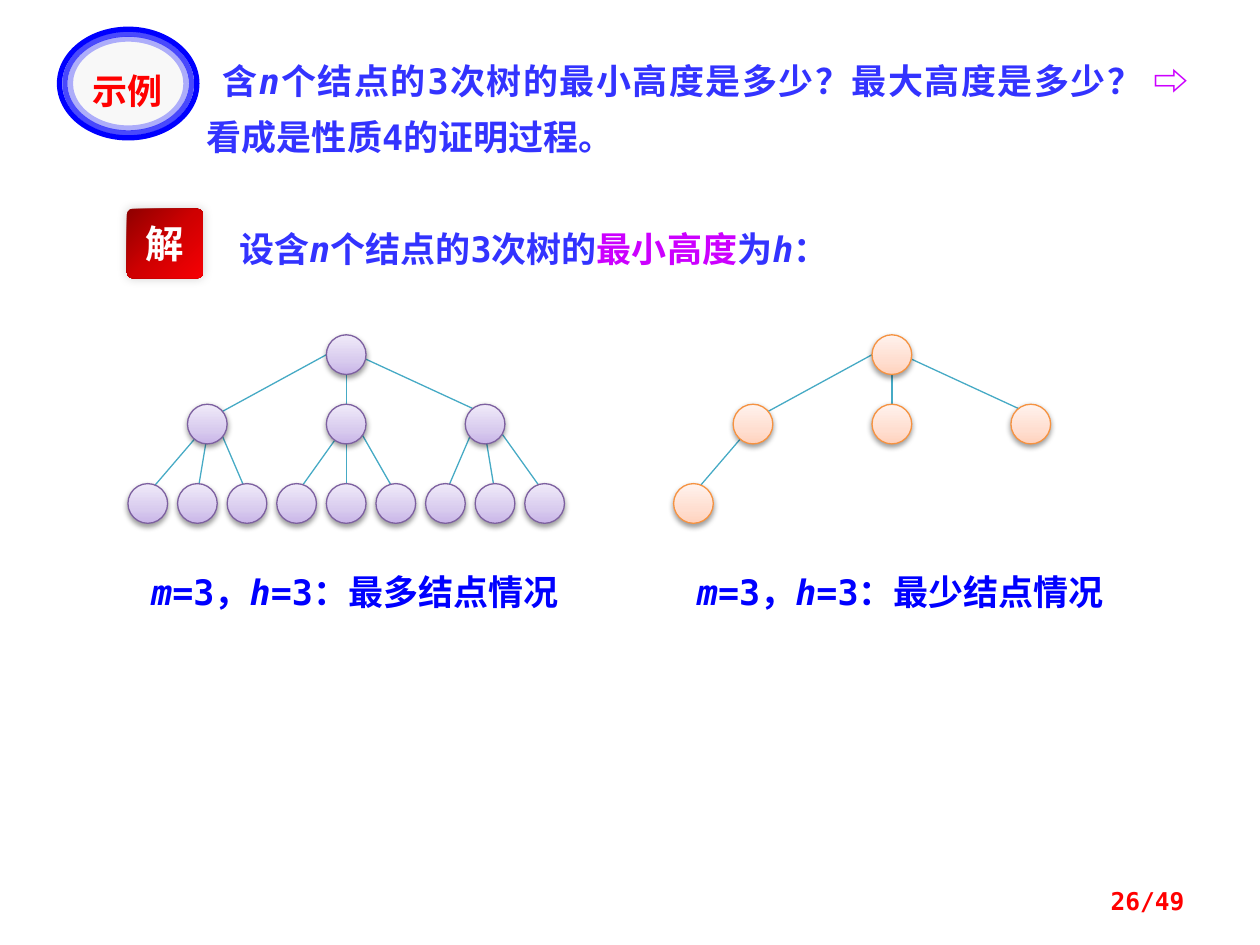
import pptx
import pptx.dml.color
import pptx.enum.dml
import pptx.enum.shapes
import pptx.enum.text
import pptx.oxml
import pptx.oxml.ns
import pptx.util
from dataclasses import dataclass

Cm, Pt = pptx.util.Cm, pptx.util.Pt
Align = pptx.enum.text.PP_ALIGN
Anchor = pptx.enum.text.MSO_ANCHOR
Preset = pptx.enum.shapes.MSO_SHAPE
qn = pptx.oxml.ns.qn


@dataclass(frozen=True)
class Theme:
    mono: str = "DejaVu Sans Mono"
    hans: str = "Noto Sans CJK SC"
    kanji: str = "Noto Sans CJK JP"
    body: float = 20
    answer: float = 22
    number: float = 14
    text: str = "3333FF"
    accent: str = "CC00FF"
    blue: str = "0000FF"
    red: str = "FF0000"
    white: str = "FFFFFF"
    badge: str = "F8F8F8"
    edge: str = "46AAC5"


theme = Theme()

QUESTION = [("含", theme.text, False), ("n", theme.text, True),
            ("个结点的3次树的最小高度是多少？最大高度是多少？ ", theme.text, False),
            ("⇨ ", theme.accent, False), ("看成是性质4的证明过程。", theme.text, False)]
SETUP = [("设含", theme.text, False), ("n", theme.text, True),
         ("个结点的3次树的", theme.text, False), ("最小高度", theme.accent, False),
         ("为", theme.text, False), ("h", theme.text, True), ("：", theme.text, False)]
BADGE = [("示例", theme.red, False)]
ANSWER = [("解", theme.white, False)]
PAGE_NUMBER = [("26/49", theme.red, False)]

TREES = [
    {"centre": 6.98, "leaves": 9, "case": "最多结点情况", "line": "7D60A0",
     "stops": [(0, "C9B5E8"), (35, "D8CBEE"), (100, "F0EAF9")]},
    {"centre": 17.98, "leaves": 1, "case": "最少结点情况", "line": "F69240",
     "stops": [(0, "FFD2BD"), (35, "FFDED0"), (100, "FFF2ED")]},
]
ANSWER_STOPS = [(0, "8F0000"), (50, "CF0001"), (100, "F60004")]
BADGE_RINGS = [(0, 100), (0.11, 70), (0.22, 30)]

NODE = 0.8
ROWS = [7.15, 8.55, 10.15]
CHILD_PITCH, LEAF_PITCH = 2.8, 1.0
ROOT_STARTS = [(-0.4, 0), (0, 0.2), (0.2, 0)]
ROOT_ENDS = [(0.2, -0.2), (0, -0.2), (0, -0.2)]
LEAF_STARTS = [(0, 0), (0, 0.2), (0.2, 0)]
LAST_LEAF_STARTS = [(-0.2, 0), (0, 0.2), (0.2, 0)]
LEAF_END = (0, -0.2)


def rgb(value):
    return pptx.dml.color.RGBColor.from_string(value)


def xml(tag, inner=""):
    name = tag.split()[0]
    return pptx.oxml.parse_xml(f"<{tag} {pptx.oxml.ns.nsdecls('a')}>{inner}</{name}>")


def add_spans(para, spans, size, asian=theme.hans, latin=theme.mono):
    for text, color, italic in spans:
        span = para.add_run()
        span.text = text
        font = span.font
        font.size, font.bold, font.italic = Pt(size), True, italic
        font.color.rgb = rgb(color)
        font.name = latin
        span._r.get_or_add_rPr().append(xml(f'a:ea typeface="{asian}"'))


def add_text(shapes, place, spans, size=theme.body, align=None, asian=theme.hans):
    box = shapes.add_textbox(*map(Cm, place))
    box.text_frame.word_wrap = True
    para = box.text_frame.paragraphs[0]
    para.alignment = align
    add_spans(para, spans, size, asian)
    return box, para


def set_gradient(shape, stops, angle):
    shape.fill.gradient()
    shape.fill.gradient_angle = angle
    holder = shape._element.spPr.find(".//" + qn("a:gsLst"))
    for stop in list(holder):
        holder.remove(stop)
    for position, color in stops:
        holder.append(xml(f'a:gs pos="{position * 1000}"', f'<a:srgbClr val="{color}"/>'))


def set_shadow(shape, opacity, blur, distance, direction):
    shape.shadow.inherit = False
    shape._element.spPr.find(qn("a:effectLst")).append(xml(
        f'a:outerShdw blurRad="{Pt(blur)}" dist="{Pt(distance)}" '
        f'dir="{direction * 60000}" rotWithShape="0"',
        f'<a:srgbClr val="000000"><a:alpha val="{opacity * 1000}"/></a:srgbClr>'))


def add_edge(shapes, parent, child, start, end):
    edge = shapes.add_connector(
        pptx.enum.shapes.MSO_CONNECTOR.STRAIGHT,
        Cm(parent[0] + start[0]), Cm(parent[1] + start[1]),
        Cm(child[0] + end[0]), Cm(child[1] + end[1]))
    edge.line.color.rgb = rgb(theme.edge)
    edge.line.width = Pt(0.75)
    edge._element.spPr.append(xml("a:effectLst"))


def add_node(shapes, centre, tree):
    node = shapes.add_shape(Preset.OVAL, Cm(centre[0] - NODE / 2), Cm(centre[1] - NODE / 2),
                            Cm(NODE), Cm(NODE))
    set_gradient(node, tree["stops"], 90)
    node.line.color.rgb = rgb(tree["line"])
    node.line.width = Pt(0.75)
    set_shadow(node, 38, 3.1, 1.6, 90)


def add_tree(page, tree):
    shapes = page.shapes.add_group_shape().shapes
    middle = tree["centre"]
    root = (middle, ROWS[0])
    children = [(middle + (i - 1) * CHILD_PITCH, ROWS[1]) for i in range(3)]
    leaves = [(middle + (i - 4) * LEAF_PITCH, ROWS[2]) for i in range(tree["leaves"])]
    for child, start, end in zip(children, ROOT_STARTS, ROOT_ENDS):
        add_edge(shapes, root, child, start, end)
    for i, leaf in enumerate(leaves):
        starts = LAST_LEAF_STARTS if i // 3 == 2 else LEAF_STARTS
        add_edge(shapes, children[i // 3], leaf, starts[i % 3], LEAF_END)
    for centre in [root, *children, *leaves]:
        add_node(shapes, centre, tree)
    label = [("m", theme.blue, True), ("=3，", theme.blue, False),
             ("h", theme.blue, True), ("=3：" + tree["case"], theme.blue, False)]
    add_text(shapes, (middle - 4.18, 11.38, 9.4, 1.12), label)


def add_badge(page):
    shapes = page.shapes.add_group_shape().shapes
    for inset, opacity in BADGE_RINGS:
        ring = shapes.add_shape(Preset.OVAL, Cm(1.2 + inset), Cm(0.59 + inset * 0.9),
                                Cm(2.77 - 2 * inset), Cm(2.19 - 1.8 * inset))
        if inset:
            ring.fill.background()
        else:
            ring.fill.solid()
            ring.fill.fore_color.rgb = rgb(theme.badge)
        ring.line.color.rgb = rgb(theme.blue)
        ring.line.width = Pt(3)
        ring.shadow.inherit = False
        color = ring._element.spPr.find(qn("a:ln")).find(".//" + qn("a:srgbClr"))
        color.append(xml(f'a:alpha val="{opacity * 1000}"'))
    add_text(shapes, (1.35, 1.27, 2.44, 1), BADGE, align=Align.CENTER, asian=theme.kanji)


def add_answer_mark(page):
    mark = page.shapes.add_shape(Preset.ROUNDED_RECTANGLE, Cm(2.56), Cm(4.21), Cm(1.53), Cm(1.4))
    mark.adjustments[0] = 0.08
    set_gradient(mark, ANSWER_STOPS, 315)
    mark.line.fill.background()
    set_shadow(mark, 20, 6, 0, 225)
    mark.text_frame.word_wrap = False
    mark.text_frame.vertical_anchor = Anchor.MIDDLE
    para = mark.text_frame.paragraphs[0]
    para.alignment = Align.CENTER
    add_spans(para, ANSWER, theme.answer, latin=theme.hans)


def main():
    deck = pptx.Presentation()
    deck.slide_width, deck.slide_height = Cm(25.4), Cm(19.05)
    page = deck.slides.add_slide(deck.slide_layouts[6])

    _, setup = add_text(page.shapes, (4.57, 4.37, 14.68, 1.2), SETUP)
    setup.line_spacing = 1.1

    _, question = add_text(page.shapes, (3.76, 0.79, 20.45, 2.54), QUESTION, align=Align.JUSTIFY)
    question.line_spacing = Pt(32)
    layout = question._p.get_or_add_pPr()
    layout.set("marL", str(Cm(0.16)))
    layout.set("indent", str(Cm(0.31)))

    for tree in TREES:
        add_tree(page, tree)
    add_badge(page)
    number, _ = add_text(page.shapes, (18.21, 17.65, 5.92, 1.02), PAGE_NUMBER,
                         theme.number, Align.RIGHT)
    number.text_frame.vertical_anchor = Anchor.MIDDLE
    add_answer_mark(page)
    deck.save("out.pptx")


if __name__ == "__main__":
    main()
